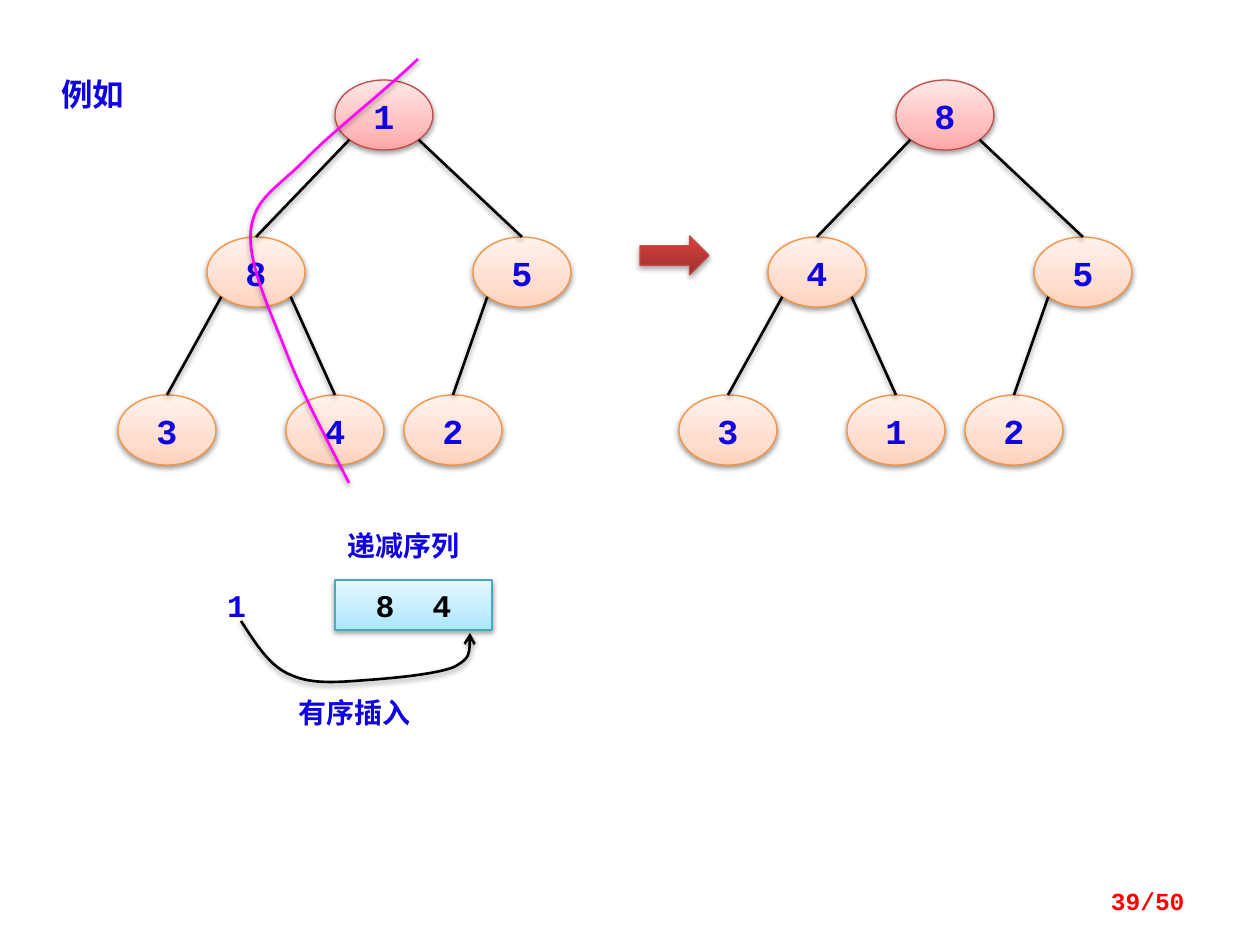
import math

import lxml.etree
import pptx
import pptx.dml.color
import pptx.enum.shapes
import pptx.enum.text
import pptx.oxml.ns
import pptx.util

EMU_PER_PX = 914400 / 126
SHAPE = pptx.enum.shapes.MSO_SHAPE
ALIGN = pptx.enum.text.PP_ALIGN
ANCHOR = pptx.enum.text.MSO_ANCHOR
qn = pptx.oxml.ns.qn

LATIN, CHINESE = "Courier New", "Noto Sans CJK SC"
BLUE, BLACK, RED, MAGENTA = "1000E4", "000000", "FF0000", "FF00FF"
# Each look is an outline colour and gradient stops from bottom to top.
ROOT_LOOK = "BF4C48", [(0, "FFA6A5"), (35, "FFC0BF"), (100, "FFE7E7")]
NODE_LOOK = "F69240", [(0, "FFD2BD"), (35, "FFDED0"), (100, "FFF2ED")]
ARROW_LOOK = "BF4C48", [(0, "9C2F2D"), (80, "CB3E3A"), (100, "CE3B37")]
LIST_LOOK = "46AAC5", [(0, "A7E6FF"), (35, "C1EDFF"), (100, "E7F8FF")]

NODE_W, NODE_H = 98, 70
# Node centres relative to the root, in level order.
NODE_CENTERS = [(0, 0), (-128, 157), (138, 157), (-217, 315), (-49, 315), (69, 315)]


def px(length):
    return pptx.util.Emu(round(length * EMU_PER_PX))


def rgb(value):
    return pptx.dml.color.RGBColor.from_string(value)


def add_xml(parent, tag, **attributes):
    return lxml.etree.SubElement(parent, qn(tag), attributes)


class SlidePainter:
    def __init__(self, slide):
        self.slide = slide
        self.shapes = slide.shapes

    def add_words(self, frame, text, size, color, font=LATIN, align=ALIGN.CENTER, gap=0):
        """Add words as runs; gap is extra points after a single space."""
        frame.word_wrap = True
        paragraph = frame.paragraphs[0]
        paragraph.alignment = align
        pieces = [text[0], " ", text[-1]] if gap else [text]
        for piece in pieces:
            run = paragraph.add_run()
            run.text = piece
            run.font.size = pptx.util.Pt(size)
            run.font.bold = True
            run.font.color.rgb = rgb(color)
            run.font.name = font
            properties = run.font._element
            add_xml(properties, "a:ea", typeface=font)
            if piece == " ":
                properties.set("spc", str(round(gap * 100)))

    def outline(self, item, color, width):
        item.line.color.rgb = rgb(color)
        item.line.width = pptx.util.Pt(width)

    def cast_shadow(self, item, distance=20000, alpha=38):
        effects = add_xml(item._element.spPr, "a:effectLst")
        shadow = add_xml(effects, "a:outerShdw", blurRad="40000", dist=str(distance),
                         dir="5400000", rotWithShape="0")
        color = add_xml(shadow, "a:srgbClr", val=BLACK)
        add_xml(color, "a:alpha", val=str(alpha * 1000))

    def shape(self, kind, left, top, width, height, look, **shadow):
        item = self.shapes.add_shape(kind, px(left), px(top), px(width), px(height))
        line_color, stops = look
        item.fill.gradient()
        item.fill.gradient_angle = 90
        stop_list = item._element.spPr.find(".//" + qn("a:gsLst"))
        stop_list.clear()
        for position, color in stops:
            stop = add_xml(stop_list, "a:gs", pos=str(position * 1000))
            add_xml(stop, "a:srgbClr", val=color)
        self.outline(item, line_color, 0.75)
        self.cast_shadow(item, **shadow)
        return item

    def label(self, left, top, width, height, text, size, color=BLUE, font=LATIN,
              align=ALIGN.LEFT, anchor=ANCHOR.TOP):
        box = self.shapes.add_textbox(px(left), px(top), px(width), px(height))
        box.text_frame.vertical_anchor = anchor
        self.add_words(box.text_frame, text, size, color, font, align)

    def node(self, x, y, value, look):
        item = self.shape(SHAPE.OVAL, x - NODE_W / 2, y - NODE_H / 2, NODE_W, NODE_H, look)
        item.text_frame.vertical_anchor = ANCHOR.MIDDLE
        self.add_words(item.text_frame, value, 20, BLUE)
        return item

    def edge(self, parent, child, side):
        """Join the parent's lower diagonal point (side -1 left, 1 right) to the child's top."""
        reach = math.sqrt(0.5)
        x = parent.left + parent.width / 2 * (1 + side * reach)
        y = parent.top + parent.height / 2 * (1 + reach)
        line = self.shapes.add_connector(
            pptx.enum.shapes.MSO_CONNECTOR.STRAIGHT, round(x), round(y),
            child.left + child.width // 2, child.top)
        line.end_connect(child, 0)
        self.outline(line, BLACK, 1.5)
        self.cast_shadow(line)

    def tree(self, root_x, root_y, values):
        nodes = [
            self.node(root_x + dx, root_y + dy, value, NODE_LOOK if dy else ROOT_LOOK)
            for (dx, dy), value in zip(NODE_CENTERS, values)
        ]
        for index, child in enumerate(nodes[1:], start=1):
            self.edge(nodes[(index - 1) // 2], child, -1 if index % 2 else 1)

    def curve(self, points, color, arrow=False):
        """Draw cubic Beziers: a start point, then two controls and an end for each."""
        builder = self.shapes.build_freeform(*points[0], scale=EMU_PER_PX)
        builder.add_line_segments(points[1:], close=False)
        item = builder.convert_to_shape()
        outline_path = item._element.spPr.find(".//" + qn("a:path"))
        segments = outline_path.findall(qn("a:lnTo"))
        for start in range(0, len(segments), 3):
            bezier = add_xml(outline_path, "a:cubicBezTo")
            for segment in segments[start:start + 3]:
                bezier.append(segment[0])
                outline_path.remove(segment)
        item.fill.background()
        self.outline(item, color, 1.5)
        if arrow:
            add_xml(item._element.spPr.find(qn("a:ln")), "a:tailEnd", type="arrow")
        self.cast_shadow(item)


def main():
    deck = pptx.Presentation()
    deck.slide_width, deck.slide_height = px(1260), px(945)
    painter = SlidePainter(deck.slides.add_slide(deck.slide_layouts[6]))

    painter.tree(384, 115, "185342")
    painter.label(49, 69, 128, 50, "例如", 18, font=CHINESE)
    cut_curve = [(418, 59), (378, 97), (333, 131), (305, 160),
                 (277, 188), (255, 198), (251, 229),
                 (247, 261), (268, 306), (285, 349),
                 (301, 391), (325, 436), (349, 483)]
    painter.curve(cut_curve, MAGENTA)

    painter.tree(945, 115, "845312")
    painter.shape(SHAPE.RIGHT_ARROW, 640, 236, 69, 39, ARROW_LOOK, distance=23000, alpha=35)

    painter.label(207, 580, 59, 50, "1", 18, align=ALIGN.CENTER)
    sequence = painter.shape(SHAPE.RECTANGLE, 335, 580, 157, 50, LIST_LOOK)
    sequence.text_frame.vertical_anchor = ANCHOR.TOP
    painter.add_words(sequence.text_frame, "8 4", 18, BLACK, gap=10.8)
    painter.label(335, 522, 147, 47, "递减序列", 16, font=CHINESE)

    insertion_curve = [(241, 621), (256, 644), (270, 667), (291, 675),
                       (312, 685), (341, 682), (368, 680),
                       (396, 678), (437, 674), (454, 667),
                       (471, 658), (470, 645), (470, 633)]
    painter.curve(insertion_curve, BLACK, arrow=True)
    painter.label(286, 689, 147, 47, "有序插入", 16, font=CHINESE)
    painter.label(903, 876, 294, 50, "39/50", 14, RED,
                  align=ALIGN.RIGHT, anchor=ANCHOR.MIDDLE)
    deck.save("out.pptx")


if __name__ == "__main__":
    main()
